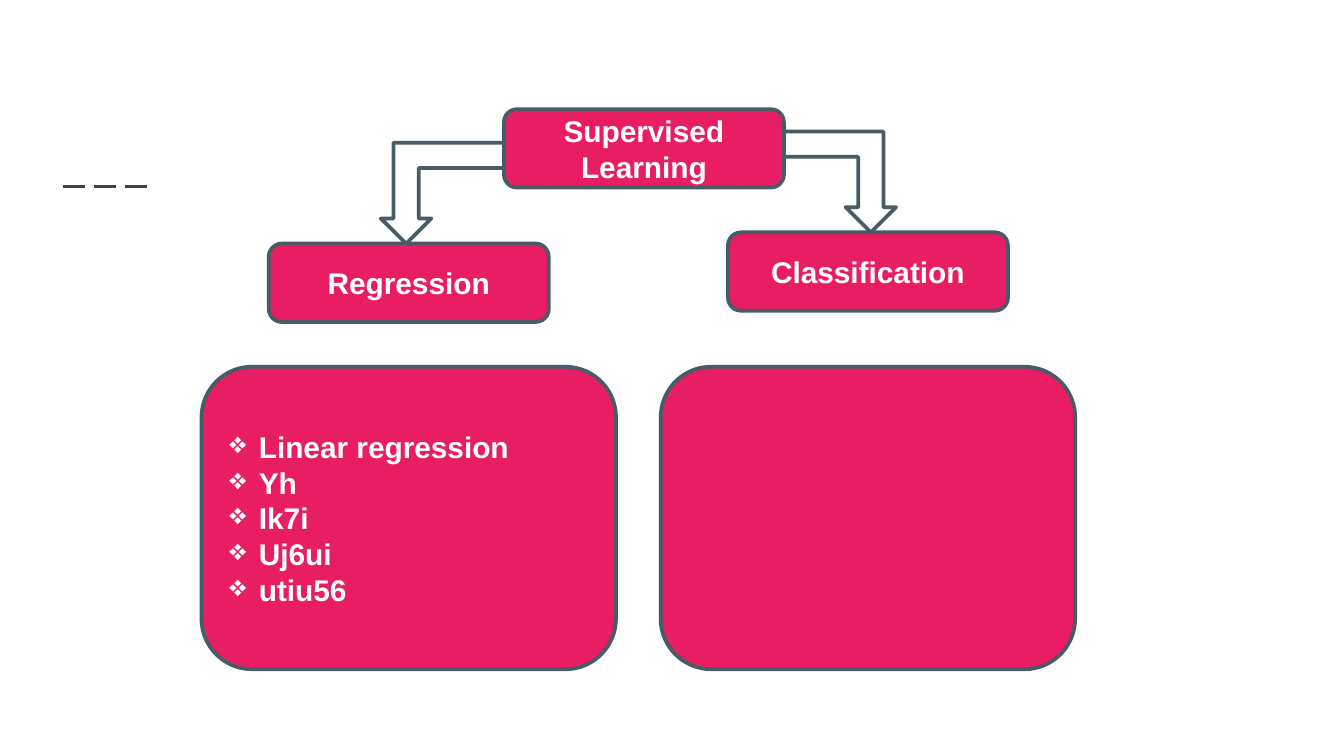
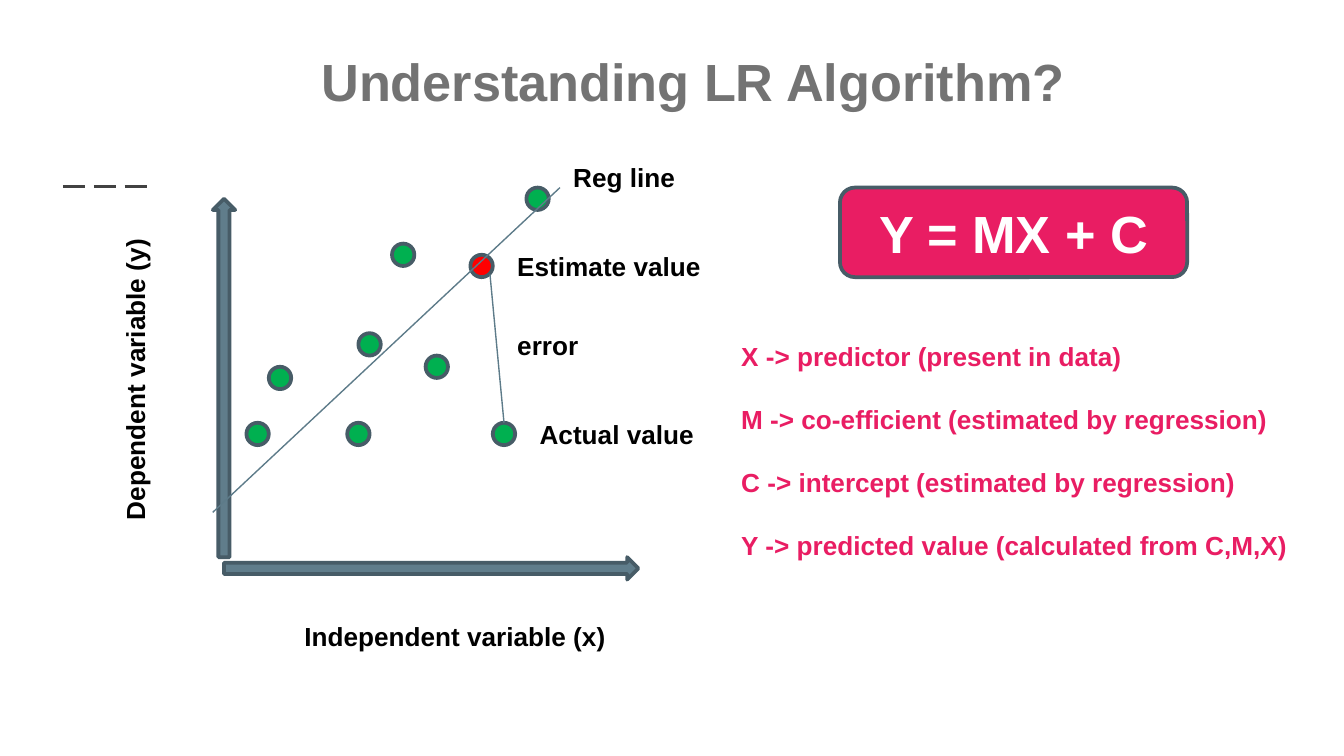
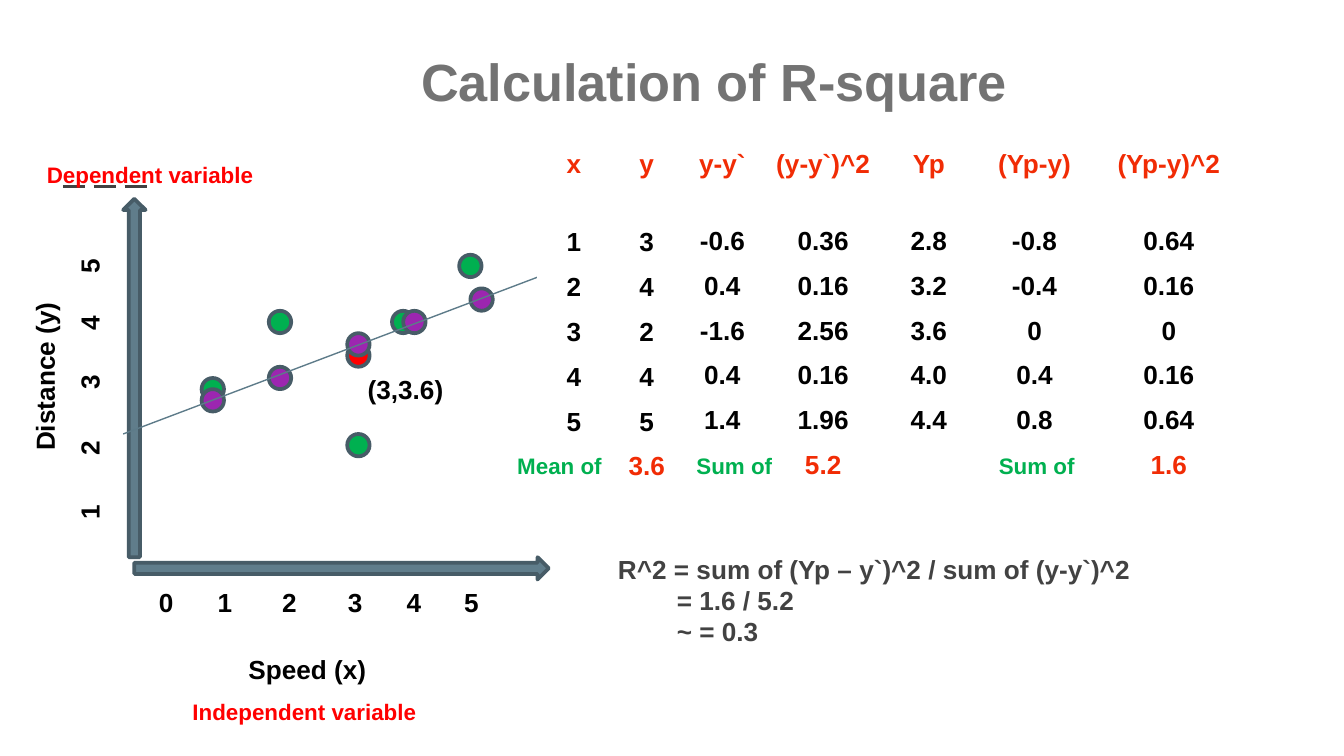
from dataclasses import dataclass
from itertools import zip_longest

from lxml.etree import SubElement
from pptx import Presentation
from pptx.dml.color import RGBColor
from pptx.enum.dml import MSO_LINE
from pptx.enum.shapes import MSO_CONNECTOR, MSO_SHAPE
from pptx.enum.text import MSO_ANCHOR, MSO_AUTO_SIZE, PP_ALIGN
from pptx.oxml.ns import qn
from pptx.util import Pt

PX = 9525


@dataclass(frozen=True)
class Theme:
    """Colours, font and type sizes shared by the slides."""

    font: str = "Arial"
    pink: str = "E91D63"
    outline: str = "475C67"
    axis: str = "607D8B"
    thin_line: str = "5D7B89"
    white: str = "FFFFFF"
    black: str = "000000"
    dark: str = "424242"
    title_gray: str = "737373"
    green: str = "00B050"
    red: str = "FF0000"
    purple: str = "9C26B0"
    orange: str = "F12C05"
    title: int = 28
    box: int = 16
    body: int = 14
    small: int = 12


THEME = Theme()


def px(*lengths):
    """Turn pixel lengths into EMU."""
    return [round(length * PX) for length in lengths]


def color(value):
    """Turn a hex string into a colour."""
    return RGBColor.from_string(value)


def write(frame, text, size=THEME.body, ink=THEME.black, align=PP_ALIGN.LEFT,
          margins=(), bullet=None, tabs=(), gap=0):
    """Fill a text frame with one bold paragraph for each line of text."""
    lines = text.split("\n")
    for index, (line, margin) in enumerate(zip_longest(lines, margins, fillvalue=0)):
        paragraph = frame.add_paragraph() if index else frame.paragraphs[0]
        paragraph.alignment = align
        if index and gap:
            paragraph.space_before = Pt(gap)
        run = paragraph.add_run()
        run.text = line
        run.font.name = THEME.font
        run.font.size = Pt(size)
        run.font.bold = True
        run.font.color.rgb = color(ink)
        properties = paragraph._p.get_or_add_pPr()
        if margin:
            properties.set("marL", str(margin * PX))
        if bullet:
            properties.set("indent", str(-margin * PX))
            SubElement(properties, qn("a:buChar"), char=bullet)
        if tabs:
            stops = SubElement(properties, qn("a:tabLst"))
            for tab in tabs:
                SubElement(stops, qn("a:tab"), pos=str(tab * PX), algn="l")


def add_text(slide, box, text, wrap=False, rotation=0, top_inset=5, **style):
    """Add a text box that grows with its text."""
    shape = slide.shapes.add_textbox(*px(*box))
    shape.rotation = rotation
    frame = shape.text_frame
    frame.word_wrap = wrap
    frame.auto_size = MSO_AUTO_SIZE.SHAPE_TO_FIT_TEXT
    frame.margin_top = top_inset * PX
    write(frame, text, **style)


def add_outlined(slide, kind, box, fill=None):
    """Add a preset shape with the shared outline."""
    shape = slide.shapes.add_shape(kind, *px(*box))
    shape.shadow.inherit = False
    shape.line.color.rgb = color(THEME.outline)
    shape.line.width = Pt(2)
    if fill:
        shape.fill.solid()
        shape.fill.fore_color.rgb = color(fill)
    else:
        shape.fill.background()
    return shape


def add_card(slide, box, text="", size=THEME.box, align=PP_ALIGN.CENTER, **style):
    """Add a pink rounded box with white text."""
    shape = add_outlined(slide, MSO_SHAPE.ROUNDED_RECTANGLE, box, THEME.pink)
    shape.text_frame.word_wrap = True
    shape.text_frame.vertical_anchor = MSO_ANCHOR.MIDDLE
    if text:
        write(shape.text_frame, text, size=size, ink=THEME.white, align=align, **style)


def add_line(slide, start, end, ink=THEME.thin_line, width=0.75, dash=None):
    """Add a straight line without a shadow."""
    line = slide.shapes.add_connector(MSO_CONNECTOR.STRAIGHT, *px(*start, *end))
    line.line.color.rgb = color(ink)
    line.line.width = Pt(width)
    if dash:
        line.line.dash_style = dash
    SubElement(line._element.spPr, qn("a:effectLst"))


def add_slide(presentation, title="", title_box=None):
    """Add a blank slide with the dashed accent and an optional title."""
    slide = presentation.slides.add_slide(presentation.slide_layouts[6])
    add_line(slide, (45, 133), (109, 133), THEME.dark, 1.5, MSO_LINE.LONG_DASH)
    if title:
        add_text(slide, title_box, title, size=THEME.title, ink=THEME.title_gray,
                 align=PP_ALIGN.CENTER)
    return slide


def add_plot(slide, left, top, trend, dots):
    """Draw two axis arrows, a trend line and coloured dots from a top-left corner."""
    add_outlined(slide, MSO_SHAPE.UP_ARROW, (left, top, 16, 256), THEME.axis)
    add_outlined(slide, MSO_SHAPE.RIGHT_ARROW, (left + 8, top + 256, 296, 16), THEME.axis)
    for fill, places in dots:
        for x, y in places:
            add_outlined(slide, MSO_SHAPE.OVAL, (left + x, top + y, 16, 16), fill)
    add_line(slide, *[(left + x, top + y) for x, y in trend])


def add_ticks(slide, left, top):
    """Label the ticks of a plot along both axes."""
    stops = (42, 88, 135, 177, 218)
    add_text(slide, (left + 16, top + 272, 272, 33), "0\t1\t2\t3\t4\t5",
             wrap=True, tabs=stops)
    add_text(slide, (left - 160, top + 120, 272, 33), "\t1\t2\t3\t4\t5",
             wrap=True, rotation=270, tabs=[stop - 8 for stop in stops])


def add_value_table(slide, left, top, widths, heights, rows):
    """Add a plain table whose first and last rows are orange."""
    box = (left, top, sum(widths), sum(heights))
    table = slide.shapes.add_table(len(rows), len(widths), *px(*box)).table
    table.first_row = table.horz_banding = False
    for column, width in zip(table.columns, px(*widths)):
        column.width = width
    for row, height in zip(table.rows, px(*heights)):
        row.height = height
    for row_index, row in enumerate(rows):
        ink = THEME.orange if row_index in (0, len(rows) - 1) else THEME.black
        for column_index, value in enumerate(row):
            cell = table.cell(row_index, column_index)
            cell.fill.background()
            if value:
                write(cell.text_frame, value, ink=ink, align=PP_ALIGN.CENTER)


def build_tree_slide(presentation):
    """Build the tree of supervised learning methods."""
    slide = add_slide(presentation)
    for left, top, text in ((360, 78, "Supervised Learning"), (192, 174, "Regression"),
                            (520, 166, "Classification")):
        add_card(slide, (left, top, 200, 56), text)
    add_card(slide, (144, 262, 296, 216), "Linear regression\nYh\nIk7i\nUj6ui\nutiu56",
             align=PP_ALIGN.LEFT, margins=(21,) * 5, bullet="❖")
    add_card(slide, (472, 262, 296, 216))
    for box, flipped in (((272, 102, 88, 72), False), ((560, 94, 80, 72), True)):
        arrow = add_outlined(slide, MSO_SHAPE.BENT_UP_ARROW, box)
        arrow.rotation = 180
        if flipped:
            arrow._element.spPr.xfrm.set("flipH", "1")


def build_algorithm_slide(presentation):
    """Build the scatter plot and the equation with its terms."""
    slide = add_slide(presentation, "Understanding LR Algorithm?", (216, 30, 558, 55))
    left, top = 152, 142
    add_plot(slide, left, top, ((0, 224), (248, -8)), (
        (THEME.red, [(184, 40)]),
        (THEME.green, [(200, 160), (104, 96), (24, 160), (40, 120), (96, 160),
                       (224, -8), (152, 112), (128, 32)])))
    add_line(slide, (left + 198, top + 54), (left + 208, top + 160))
    for x, y, width, text in ((56, 296, 235, "Independent variable (x)"),
                              (248, -32, 92, "Reg line"),
                              (208, 32, 151, "Estimate value"),
                              (224, 152, 130, "Actual value"),
                              (208, 88, 63, "error")):
        add_text(slide, (left + x, top + y, width, 33), text)
    add_text(slide, (left - 166, top + 112, 221, 33), "Dependent variable (y)", rotation=270)
    add_text(slide, (520, 206, 411, 265),
             "X -> predictor (present in data)\n"
             "M -> co-efficient (estimated by regression)\n"
             "C -> intercept (estimated by regression)\n"
             "Y -> predicted value (calculated from C,M,X)",
             ink=THEME.pink, gap=17, top_inset=37)
    add_card(slide, (600, 134, 248, 64), "Y = MX + C", size=THEME.title)


def build_r_square_slide(presentation):
    """Build the fitted plot, the value tables and the R-square result."""
    slide = add_slide(presentation, "Calculation of R-square", (288, 30, 444, 55))
    left, top = 88, 142
    add_plot(slide, left, top, ((0, 168), (296, 56)), (
        (THEME.green, [(56, 128), (104, 80), (160, 168), (192, 80), (240, 40)]),
        (THEME.red, [(160, 104)]),
        (THEME.purple, [(56, 136), (104, 120), (160, 96), (200, 80), (248, 64)])))
    add_ticks(slide, left, top)
    add_text(slide, (left - 119, top + 110, 126, 33), "Distance (y)", rotation=270)
    add_text(slide, (left + 80, top + 320, 104, 33), "Speed (x)")
    add_text(slide, (left + 160, top + 120, 79, 33), " (3,3.6)")
    add_value_table(slide, 384, 102, (52, 52), (56,) + (27,) * 6, (
        ("x", "y"), ("1", "3"), ("2", "4"), ("3", "2"), ("4", "4"), ("5", "5"),
        ("", "3.6")))
    add_value_table(slide, 488, 102, (56, 88, 63, 88, 104), (55,) + (32,) * 6, (
        ("y-y`", "(y-y`)^2", "Yp", "(Yp-y)", "(Yp-y)^2"),
        ("-0.6", "0.36", "2.8", "-0.8", "0.64"),
        ("0.4", "0.16", "3.2", "-0.4", "0.16"),
        ("-1.6", "2.56", "3.6", "0", "0"),
        ("0.4", "0.16", "4.0", "0.4", "0.16"),
        ("1.4", "1.96", "4.4", "0.8", "0.64"),
        ("", "5.2", "", "", "1.6")))
    for x, y, width, text, ink in ((128, 494, 181, "Independent variable", THEME.red),
                                   (24, 110, 168, "Dependent variable", THEME.red),
                                   (360, 318, 81, "Mean of", THEME.green),
                                   (704, 318, 74, "Sum of", THEME.green),
                                   (488, 318, 74, "Sum of", THEME.green)):
        add_text(slide, (x, y, width, 29), text, size=THEME.small, ink=ink)
    add_text(slide, (432, 390, 388, 100),
             "R^2 = sum of (Yp – y`)^2 / sum of (y-y`)^2\n= 1.6 / 5.2\n~ = 0.3",
             ink=THEME.dark, margins=(0, 42, 42))


def main():
    """Build the slides and save them."""
    presentation = Presentation()
    presentation.slide_width, presentation.slide_height = px(960, 540)
    build_tree_slide(presentation)
    build_algorithm_slide(presentation)
    build_r_square_slide(presentation)
    presentation.save("out.pptx")


if __name__ == "__main__":
    main()
